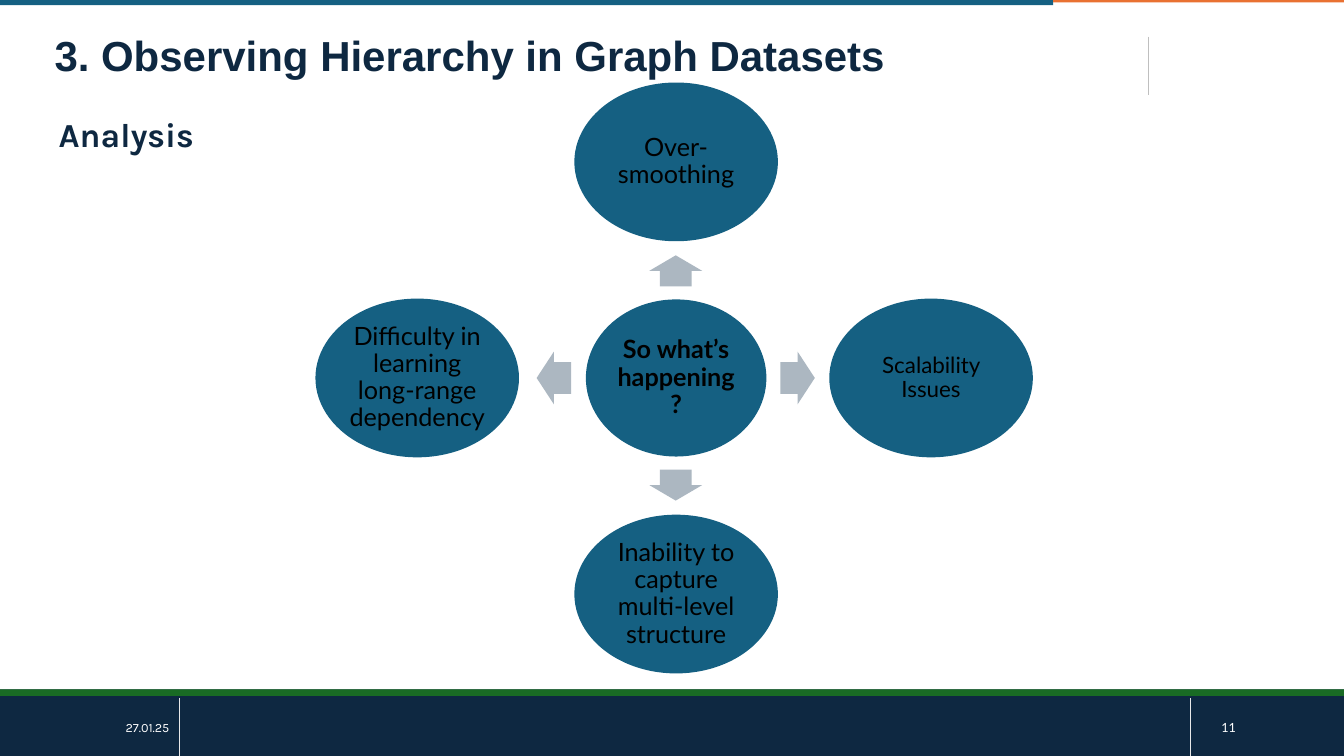
from lxml import etree
from pptx import Presentation
from pptx.dml.color import RGBColor
from pptx.enum import shapes, text
from pptx.oxml import ns
from pptx.util import Cm, Pt

NAVY = RGBColor(0x0E, 0x28, 0x41)
BLUE = RGBColor(0x15, 0x60, 0x82)
GREEN = RGBColor(0x19, 0x6B, 0x24)
ORANGE = RGBColor(0xE9, 0x71, 0x32)
ARROW = RGBColor(0xAC, 0xB7, 0xC1)
RULE = RGBColor(0xBF, 0xBF, 0xBF)
PALE = RGBColor(0xE8, 0xE8, 0xE8)
WHITE = RGBColor(0xFF, 0xFF, 0xFF)
BLACK = RGBColor(0, 0, 0)

SHAPE = shapes.MSO_SHAPE
ALIGN = text.PP_ALIGN
WIDTH, HEIGHT = 33.87, 19.05


def add_filled(parent, kind, x, y, w, h, color):
    sp = parent.shapes.add_shape(kind, Cm(x), Cm(y), Cm(w), Cm(h))
    sp.shadow.inherit = False
    sp.fill.solid()
    sp.fill.fore_color.rgb = color
    sp.line.fill.background()
    return sp


def add_rule(s, x, y, h, color):
    line = s.shapes.add_connector(
        shapes.MSO_CONNECTOR.STRAIGHT, Cm(x), Cm(y), Cm(x), Cm(y + h))
    line.line.color.rgb = color
    line.line.width = Pt(0.5)
    etree.SubElement(line._element.spPr, ns.qn("a:effectLst"))


def write(sp, words, font, size, color, bold=False, align=ALIGN.LEFT,
          anchor=text.MSO_ANCHOR.MIDDLE, spacing=1.0):
    tf = sp.text_frame
    tf.text = words
    tf.word_wrap = True
    tf.auto_size = text.MSO_AUTO_SIZE.NONE
    tf.vertical_anchor = anchor
    p = tf.paragraphs[0]
    p.alignment = align
    p.line_spacing = spacing
    p.space_before = Pt(0)
    r = p.runs[0]
    r.font.name = font
    r.font.size = Pt(size)
    r.font.bold = bold
    r.font.color.rgb = color
    return tf


def place(sp, x, y, w, h):
    sp.left, sp.top, sp.width, sp.height = Cm(x), Cm(y), Cm(w), Cm(h)


def add_top_band(s, x, y, w):
    blue_w = 26.54
    add_filled(s, SHAPE.RECTANGLE, x, y, blue_w, 0.13, BLUE)
    add_filled(s, SHAPE.RECTANGLE, x + blue_w, y, w - blue_w, 0.06, ORANGE)
    add_rule(s, x + 28.93, y + 0.92, 1.47, RULE)


def add_footer(s, x, y, w, h):
    add_filled(s, SHAPE.RECTANGLE, x, y, w, h, NAVY)
    add_filled(s, SHAPE.RECTANGLE, x, y, w, 0.17, GREEN)
    for rule_x in (4.52, 30):
        add_rule(s, x + rule_x, y + 0.23, h - 0.23, PALE)
    for words, font, left, width, align in (
            ("27.01.25", "Karla", 1.12, 3.4, ALIGN.RIGHT),
            ("11", "Lato", 30.53, 3.33, ALIGN.LEFT)):
        box = s.shapes.add_textbox(Cm(x + left), Cm(y + 0.46), Cm(width), Cm(1))
        write(box, words, font, 9, WHITE, align=align)


def add_headings(s, x, y, w):
    title, body = s.placeholders
    place(title, x, y, w, 1.91)
    write(title, "3. Observing Hierarchy in Graph Datasets", "Arial", 30, NAVY,
          bold=True, anchor=text.MSO_ANCHOR.TOP, spacing=0.9)
    place(body, x + 0.36, y + 1.47, 16.71, 2.59)
    tf = write(body, "Analysis", "Karla", 24, NAVY, bold=True,
               anchor=text.MSO_ANCHOR.TOP, spacing=1.5)
    tf.margin_left = 0
    pPr = tf.paragraphs[0]._p.get_or_add_pPr()
    pPr.set("marL", "0")
    pPr.set("indent", "0")
    etree.SubElement(pPr, ns.qn("a:buNone"))


def add_oval(grp, cx, cy, w, h, words, size=18, bold=False):
    sp = add_filled(grp, SHAPE.OVAL, cx - w / 2, cy - h / 2, w, h, BLUE)
    tf = write(sp, words, "Lato", size, BLACK, bold, ALIGN.CENTER, spacing=0.9)
    tf.margin_left = tf.margin_right = Cm(0.06)
    tf.margin_top = tf.margin_bottom = Cm(0.06)


def add_arrow(grp, kind, cx, cy, w, h):
    sp = add_filled(grp, kind, cx - w / 2, cy - h / 2, w, h, ARROW)
    sp.adjustments[0] = 0.6
    sp.adjustments[1] = 0.5


def add_radial_diagram(s, x, y, w, h):
    """Central question with an arrow towards each of four surrounding ovals."""
    cx, cy = x + w / 2, y + h / 2
    oval_w, oval_h = 5.13, 4
    dx, dy = (w - oval_w) / 2, (h - oval_h) / 2
    across, down = 3.07, 2.7
    grp = s.shapes.add_group_shape()
    add_oval(grp, cx + 0.05, cy, 4.55, 3.96, "So what’s happening?", bold=True)
    for kind, ux, uy, words, size in (
            (SHAPE.UP_ARROW, 0, -1, "Over-smoothing", 18),
            (SHAPE.RIGHT_ARROW, 1, 0, "Scalability Issues", 16),
            (SHAPE.DOWN_ARROW, 0, 1,
             "Inability to capture multi-level structure", 18),
            (SHAPE.LEFT_ARROW, -1, 0,
             "Difficulty in learning long-range dependency", 18)):
        arrow_w, arrow_h = (0.87, 1.33) if ux else (1.33, 0.78)
        add_arrow(grp, kind, cx + 0.04 + ux * across, cy + uy * down,
                  arrow_w, arrow_h)
        nudge = 0 if ux else 0.05
        add_oval(grp, cx + nudge + ux * dx, cy + uy * dy, oval_w, oval_h,
                 words, size)


def main():
    prs = Presentation()
    prs.slide_width, prs.slide_height = Cm(WIDTH), Cm(HEIGHT)
    s = prs.slides.add_slide(prs.slide_layouts[1])
    add_footer(s, 0, 17.37, WIDTH, HEIGHT - 17.37)
    add_top_band(s, 0, 0, WIDTH)
    add_headings(s, 1.12, 0.76, 27.1)
    add_radial_diagram(s, 7.95, 2.08, 18.08, 14.89)
    prs.save("out.pptx")


if __name__ == "__main__":
    main()
